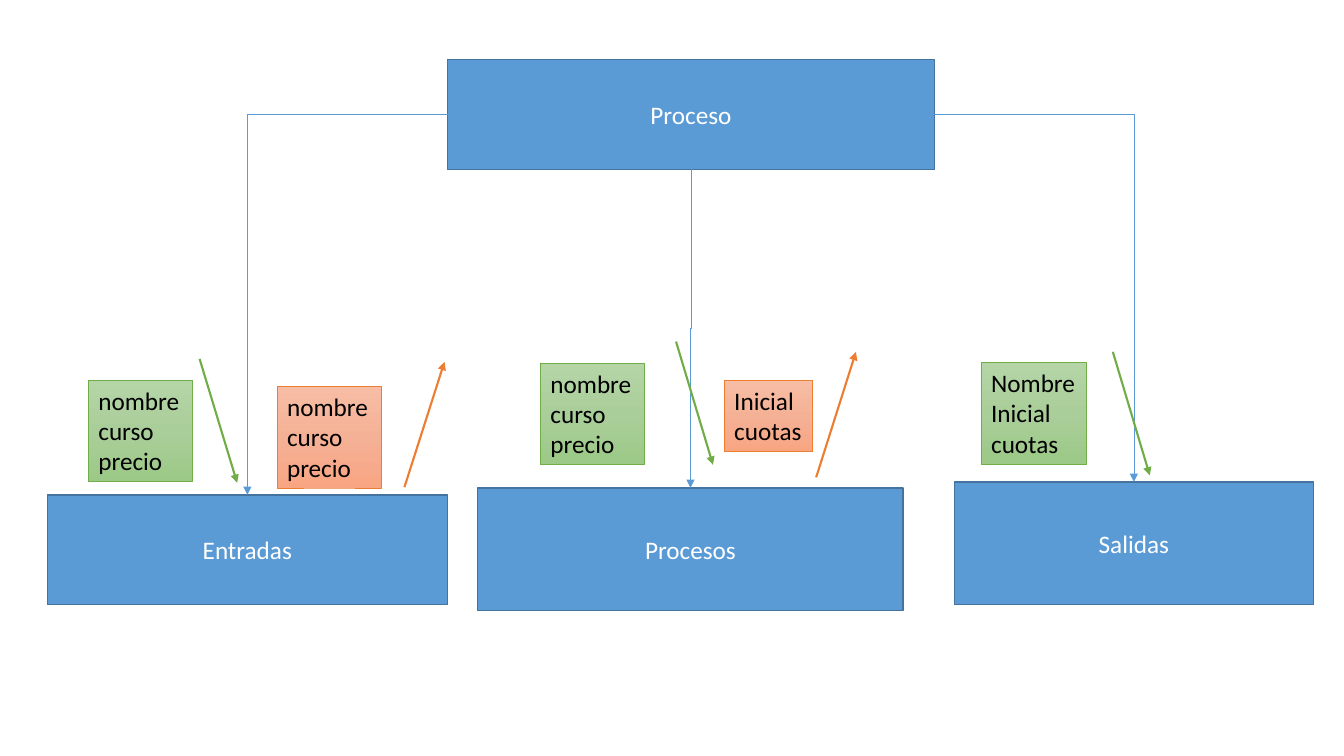
from copy import deepcopy

from pptx import Presentation
from pptx.dml.color import RGBColor
from pptx.enum import shapes, text
from pptx.oxml import ns
from pptx.oxml.xmlchemy import OxmlElement
from pptx.util import Pt

BLUE = RGBColor(0x5B, 0x9B, 0xD5)
DARK_BLUE = RGBColor(0x43, 0x73, 0x9E)
WHITE = RGBColor(0xFF, 0xFF, 0xFF)
BLACK = RGBColor(0x00, 0x00, 0x00)
GREEN = RGBColor(0x70, 0xAD, 0x47)
ORANGE = RGBColor(0xED, 0x7D, 0x31)
GREEN_FADE = (RGBColor(0xB5, 0xD5, 0xA7), RGBColor(0xAA, 0xCE, 0x9A), RGBColor(0x9C, 0xC9, 0x87))
ORANGE_FADE = (RGBColor(0xF7, 0xBD, 0xA5), RGBColor(0xF5, 0xB1, 0x96), RGBColor(0xF8, 0xA5, 0x82))
INPUT = (GREEN, GREEN_FADE)
OUTPUT = (ORANGE, ORANGE_FADE)

TOP, LEFT, BOTTOM, RIGHT = range(4)
LINE_HEIGHT = 21.8
LABEL_INSETS = 7.2

MODULES = {
    "Proceso": (319.7, 42.5, 347.8, 78.5),
    "Entradas": (33.8, 353.5, 285.8, 78.5),
    "Procesos": (341.3, 348.5, 303.8, 87.8),
    "Salidas": (681.8, 344.2, 256.3, 87.8),
}

FLOWS = [
    (INPUT, "nombre\ncurso\nprecio", (63.2, 271.6, 74.2), (142.6, 256.4, 169.4, 344.9)),
    (OUTPUT, "nombre\ncurso\nprecio", (198, 276, 74.2), (288.9, 348, 317.5, 258.5)),
    (INPUT, "nombre\ncurso\nprecio", (386.1, 259.4, 74.2), (482.9, 244, 509.3, 332)),
    (OUTPUT, "Inicial\ncuotas", (517.4, 271.8, 63.2), (583, 341, 611.4, 251.4)),
    (INPUT, "Nombre\nInicial\ncuotas", (700.9, 258.9, 74.9), (794.9, 251.3, 821.3, 339.6)),
]


def format_text(frame, color, align):
    for paragraph in frame.paragraphs:
        paragraph.alignment = align
        for run in paragraph.runs:
            run.font.name = "Calibri"
            run.font.size = Pt(18)
            run.font.color.rgb = color


def add_module(slide, name, bounds):
    module = slide.shapes.add_shape(shapes.MSO_SHAPE.RECTANGLE, *map(Pt, bounds))
    module.shadow.inherit = False
    module.fill.solid()
    module.fill.fore_color.rgb = BLUE
    module.line.color.rgb = DARK_BLUE
    module.line.width = Pt(1)
    module.text_frame.text = name
    module.text_frame.vertical_anchor = text.MSO_ANCHOR.MIDDLE
    format_text(module.text_frame, WHITE, text.PP_ALIGN.CENTER)
    return module


def style_arrow(arrow, color, width):
    arrow.line.color.rgb = color
    arrow.line.width = Pt(width)
    head = OxmlElement("a:tailEnd")
    head.set("type", "triangle")
    arrow.line._get_or_add_ln().append(head)
    arrow._element.spPr.append(OxmlElement("a:effectLst"))


def add_call(slide, parent, side, child):
    call = slide.shapes.add_connector(shapes.MSO_CONNECTOR.ELBOW, 0, 0, 0, 0)
    call.begin_connect(parent, side)
    call.end_connect(child, TOP)
    style_arrow(call, BLUE, 0.5)
    properties = call._element.spPr
    if side == BOTTOM:
        across, down = call.width, call.height
        center_x, center_y = call.left + across // 2, call.top + down // 2
        call.left, call.top = center_x - down // 2, center_y - across // 2
        call.width, call.height = down, across
        frame = properties.find(ns.qn("a:xfrm"))
        frame.attrib.pop("flipH", None)
        frame.set("rot", "5400000")
    else:
        properties.find(ns.qn("a:prstGeom")).set("prst", "bentConnector2")


def fill_fade(fill, colors):
    fill.gradient()
    fill.gradient_angle = 270
    stops = fill._xPr.find(ns.qn("a:gradFill")).find(ns.qn("a:gsLst"))
    stops.insert(1, deepcopy(stops[0]))
    for stop, color, position in zip(fill.gradient_stops, colors, (0, 0.5, 1)):
        stop.color.rgb = color
        stop.position = position


def add_data_label(slide, words, corner, border, fade):
    left, top, width = corner
    height = LABEL_INSETS + LINE_HEIGHT * len(words.split("\n"))
    label = slide.shapes.add_textbox(Pt(left), Pt(top), Pt(width), Pt(height))
    fill_fade(label.fill, fade)
    label.line.color.rgb = border
    label.line.width = Pt(0.5)
    label.text_frame.text = words
    label.text_frame.word_wrap = False
    label.text_frame.auto_size = text.MSO_AUTO_SIZE.SHAPE_TO_FIT_TEXT
    format_text(label.text_frame, BLACK, text.PP_ALIGN.LEFT)


def add_data_arrow(slide, ends, color):
    arrow = slide.shapes.add_connector(shapes.MSO_CONNECTOR.STRAIGHT, *map(Pt, ends))
    style_arrow(arrow, color, 1.5)


def main():
    deck = Presentation()
    deck.slide_width, deck.slide_height = Pt(960), Pt(540)
    slide = deck.slides.add_slide(deck.slide_layouts[6])

    parent, *children = [add_module(slide, name, bounds) for name, bounds in MODULES.items()]
    for side, child in zip((LEFT, BOTTOM, RIGHT), children):
        add_call(slide, parent, side, child)

    for (color, fade), words, corner, ends in FLOWS:
        add_data_label(slide, words, corner, color, fade)
        add_data_arrow(slide, ends, color)

    deck.save("out.pptx")


if __name__ == "__main__":
    main()
